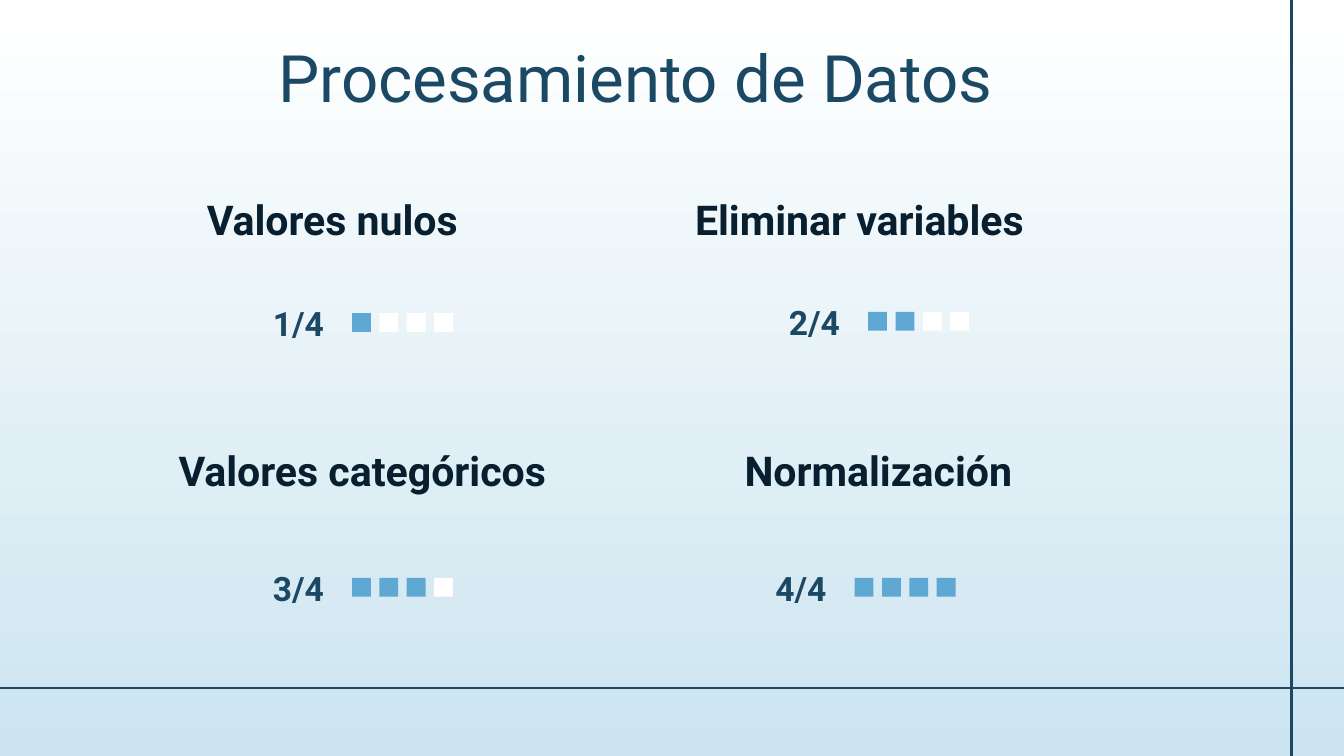
import pptx
import pptx.util
import pptx.dml.color
import pptx.enum.shapes
import pptx.enum.text
import pptx.oxml.ns
from lxml import etree

Inches = pptx.util.Inches
RGBColor = pptx.dml.color.RGBColor
Align = pptx.enum.text.PP_ALIGN
Anchor = pptx.enum.text.MSO_ANCHOR

WHITE = RGBColor(0xFF, 0xFF, 0xFF)
PALE = RGBColor(0xCC, 0xE5, 0xF0)
BLUE = RGBColor(0x5F, 0xA8, 0xD3)
NAVY = RGBColor(0x1B, 0x49, 0x65)
DARK = RGBColor(0x07, 0x1F, 0x2E)

STEPS = 4
SIDE = 0.14
SPAN = 0.61  # from the first square's left to the last one's

# heading, its left, width and top, alignment, then the meter's left and top
TOPICS = [
    ("Valores nulos", 1.44, 2.39, 1.4, Align.LEFT, 1.82, 2.21),
    ("Eliminar variables", 4.96, 2.87, 1.4, Align.CENTER, 5.66, 2.2),
    ("Valores categóricos", 1.19, 3.01, 3.27, Align.CENTER, 1.82, 4.18),
    ("Normalización", 5.34, 2.39, 3.27, Align.CENTER, 5.56, 4.18),
]


def paint(slide):
    fill = slide.background.fill
    fill.gradient()
    fill.gradient_angle = 270
    for stop, color in zip(fill.gradient_stops, (WHITE, PALE)):
        stop.color.rgb = color


def write(shape, text, size, color, bold, align, anchor):
    frame = shape.text_frame
    frame.word_wrap = True
    frame.vertical_anchor = anchor
    frame.margin_left = frame.margin_right = Inches(0.1)
    frame.margin_top = frame.margin_bottom = Inches(0.1)
    frame.text = text
    para = frame.paragraphs[0]
    para.alignment = align
    font = para.font
    font.name = "Roboto"
    font.size = pptx.util.Pt(size)
    font.bold = bold
    font.color.rgb = color


def place(shape, left, top, width, height):
    shape.left, shape.top = Inches(left), Inches(top)
    shape.width, shape.height = Inches(width), Inches(height)


def add_text(slide, box, text, size, color, align, anchor):
    shape = slide.shapes.add_textbox(*map(Inches, box))
    write(shape, text, size, color, True, align, anchor)


def add_line(slide, *ends):
    line = slide.shapes.add_connector(
        pptx.enum.shapes.MSO_CONNECTOR.STRAIGHT, *map(Inches, ends))
    line.line.color.rgb = NAVY
    line.line.width = pptx.util.Pt(1.5)
    etree.SubElement(line._element.spPr, pptx.oxml.ns.qn("a:effectLst"))


def add_meter(slide, left, top, count):
    add_text(slide, (left, top, 0.8, 0.39), f"{count}/{STEPS}", 18, NAVY,
             Align.CENTER, Anchor.MIDDLE)
    for i in range(STEPS):
        x = left + 0.8 + i * SPAN / (STEPS - 1)
        square = slide.shapes.add_shape(
            pptx.enum.shapes.MSO_SHAPE.RECTANGLE,
            *map(Inches, (x, top + 0.12, SIDE, SIDE)))
        square.shadow.inherit = False
        square.fill.solid()
        square.fill.fore_color.rgb = BLUE if i < count else WHITE
        square.line.fill.background()


def main():
    deck = pptx.Presentation()
    # Widescreen, 16:9
    deck.slide_width = Inches(10)
    deck.slide_height = deck.slide_width * 9 // 16
    slide = deck.slides.add_slide(deck.slide_layouts[5])
    paint(slide)

    # Frame lines
    add_line(slide, -0.08, 5.12, 10.37, 5.12)
    add_line(slide, 9.61, -0.06, 9.61, 5.67)

    # Title
    title = slide.shapes.title
    place(title, 0.79, 0.18, 7.88, 0.79)
    write(title, "Procesamiento de Datos", 35, NAVY, False,
          Align.CENTER, Anchor.TOP)
    title.text_frame.auto_size = pptx.enum.text.MSO_AUTO_SIZE.SHAPE_TO_FIT_TEXT

    # Topics with their progress meters
    for count, topic in enumerate(TOPICS, 1):
        name, left, width, top, align, x, y = topic
        add_text(slide, (left, top, width, 0.51), name, 22, DARK,
                 align, Anchor.BOTTOM)
        add_meter(slide, x, y, count)

    deck.save("out.pptx")


if __name__ == "__main__":
    main()
